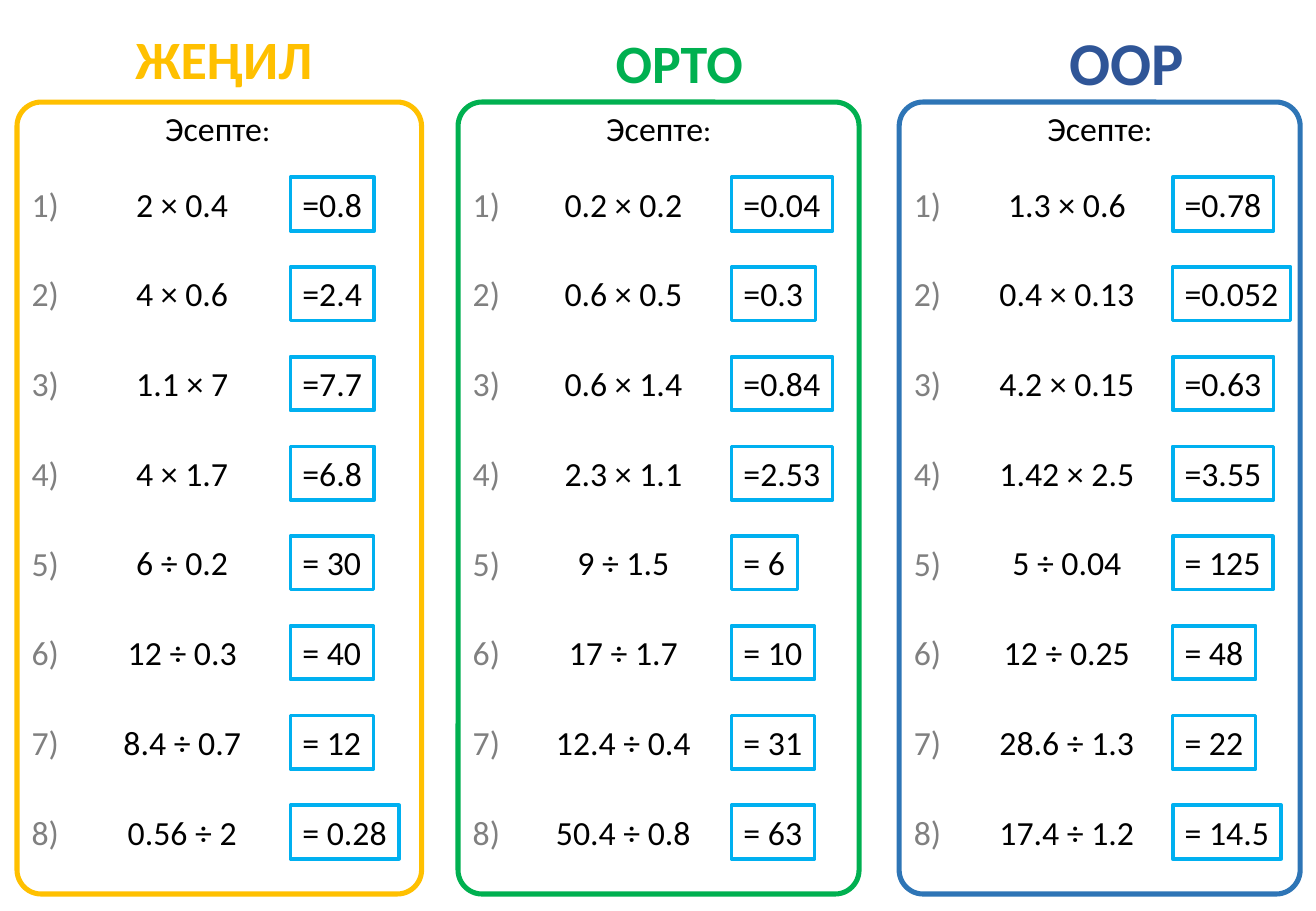
from dataclasses import dataclass
from typing import Any

from pptx import Presentation
from pptx.dml.color import RGBColor
from pptx.enum.shapes import MSO_SHAPE
from pptx.enum.text import MSO_ANCHOR, MSO_AUTO_SIZE, PP_ALIGN
from pptx.shapes.autoshape import Shape
from pptx.slide import Slide
from pptx.util import Pt

COLORS = {
    "yellow": "FFC000", "green": "00B050", "blue": "2E75B6", "navy": "2F5597",
    "cyan": "00B0F0", "gray": "808080", "black": "000000", "white": "FFFFFF",
}
PANEL_LEFT, PANEL_STEP, PANEL_TOP, PANEL_HIGH = 10.08, 261.36, 60.48, 469.44
ROW_TOP, ROW_STEP, ROW_HIGH = 105.12, 53.18, 31.68
ANSWER_LEFT = 162
GLYPHS = {" ": 4.52, ".": 5.05}
TIGHT = {"margin_left": Pt(8.64), "margin_top": 0, "margin_right": 0, "margin_bottom": 0}


@dataclass
class Box:
    left: float
    top: float
    width: float
    height: float

    def place(self) -> tuple[Pt, Pt, Pt, Pt]:
        return Pt(self.left), Pt(self.top), Pt(self.width), Pt(self.height)


@dataclass
class Level:
    title: str
    size: float
    ink: str
    edge: str
    head: Box
    width: float
    middle: float
    tasks: list[tuple[str, str]]


LEVELS = [
    Level("ЖЕҢИЛ", 32, "yellow", "yellow", Box(66.96, 16.56, 131.76, 36), 239.76, 97.92, [
        ("2 × 0.4", "=0.8"), ("4 × 0.6", "=2.4"), ("1.1 × 7", "=7.7"), ("4 × 1.7", "=6.8"),
        ("6 ÷ 0.2", "= 30"), ("12 ÷ 0.3", "= 40"), ("8.4 ÷ 0.7", "= 12"), ("0.56 ÷ 2", "= 0.28"),
    ]),
    Level("ОРТО", 32, "green", "green", Box(207.36, 13.68, 390.24, 46.08), 237.6, 97.92, [
        ("0.2 × 0.2", "=0.04"), ("0.6 × 0.5", "=0.3"), ("0.6 × 1.4", "=0.84"),
        ("2.3 × 1.1", "=2.53"), ("9 ÷ 1.5", "= 6"), ("17 ÷ 1.7", "= 10"),
        ("12.4 ÷ 0.4", "= 31"), ("50.4 ÷ 0.8", "= 63"),
    ]),
    Level("ООР", 36, "navy", "blue", Box(616.32, 10.8, 102.96, 51.12), 237.6, 99.36, [
        ("1.3 × 0.6", "=0.78"), ("0.4 × 0.13", "=0.052"), ("4.2 × 0.15", "=0.63"),
        ("1.42 × 2.5", "=3.55"), ("5 ÷ 0.04", "= 125"), ("12 ÷ 0.25", "= 48"),
        ("28.6 ÷ 1.3", "= 22"), ("17.4 ÷ 1.2", "= 14.5"),
    ]),
]


def color(name: str) -> RGBColor:
    return RGBColor.from_string(COLORS[name])


def apply(target: Any, values: dict[str, Any]) -> None:
    for name, value in values.items():
        setattr(target, name, value)


def measure(text: str) -> float:
    """Width of a box that fits one line of 20 pt text and its side margins."""
    return 14.4 + sum(GLYPHS.get(sign, 10.1) for sign in text)


def write(slide: Slide, box: Box, parts: list[tuple[str, float]], ink: str = "black",
          align: PP_ALIGN = PP_ALIGN.LEFT, bold: bool = False, **frame: Any) -> Shape:
    """Add a text box with one line, made of (text, size) parts."""
    shape = slide.shapes.add_textbox(*box.place())
    base = {"word_wrap": False, "auto_size": MSO_AUTO_SIZE.SHAPE_TO_FIT_TEXT}
    apply(shape.text_frame, base | frame)
    line = shape.text_frame.paragraphs[0]
    line.alignment = align
    for text, size in parts:
        run = line.add_run()
        run.text = text
        apply(run.font, {"name": "Calibri", "size": Pt(size), "bold": bold})
        run.font.color.rgb = color(ink)
    return shape


def outline(shape: Shape, edge: str, width: float) -> None:
    shape.line.color.rgb = color(edge)
    shape.line.width = Pt(width)


def draw_task(slide: Slide, left: float, middle: float, row: int, task: str, answer: str) -> None:
    top = ROW_TOP + row * ROW_STEP
    write(slide, Box(left, top + 3.6, 25.2, 24.48), [(f"{row + 1})", 20)], "gray", **TIGHT)
    wide = measure(task)
    write(slide, Box(left + middle - wide / 2, top, wide, ROW_HIGH), [(task, 20)],
          align=PP_ALIGN.CENTER)
    cell = write(slide, Box(left + ANSWER_LEFT, top, measure(answer), ROW_HIGH), [(answer, 20)])
    cell.fill.solid()
    cell.fill.fore_color.rgb = color("white")
    outline(cell, "cyan", 2.25)


def draw_level(slide: Slide, left: float, level: Level) -> None:
    frame = Box(left, PANEL_TOP, level.width, PANEL_HIGH)
    panel = slide.shapes.add_shape(MSO_SHAPE.ROUNDED_RECTANGLE, *frame.place())
    panel.adjustments[0] = 0.06
    panel.shadow.inherit = False
    panel.fill.background()
    outline(panel, level.edge, 3)
    write(slide, level.head, [(level.title, level.size)], level.ink, PP_ALIGN.CENTER, True,
          word_wrap=True, auto_size=MSO_AUTO_SIZE.NONE, vertical_anchor=MSO_ANCHOR.MIDDLE)
    write(slide, Box(left + 80, PANEL_TOP, 77.76, ROW_HIGH), [("Эсепте", 20), (":", 18)],
          align=PP_ALIGN.CENTER)
    for row, (task, answer) in enumerate(level.tasks):
        draw_task(slide, left, level.middle, row, task, answer)


def main() -> None:
    deck = Presentation()
    apply(deck, {"slide_width": Pt(779.76), "slide_height": Pt(540)})
    slide = deck.slides.add_slide(deck.slide_layouts[6])
    for index, level in enumerate(LEVELS):
        draw_level(slide, PANEL_LEFT + index * PANEL_STEP, level)
    deck.save("out.pptx")


if __name__ == "__main__":
    main()
